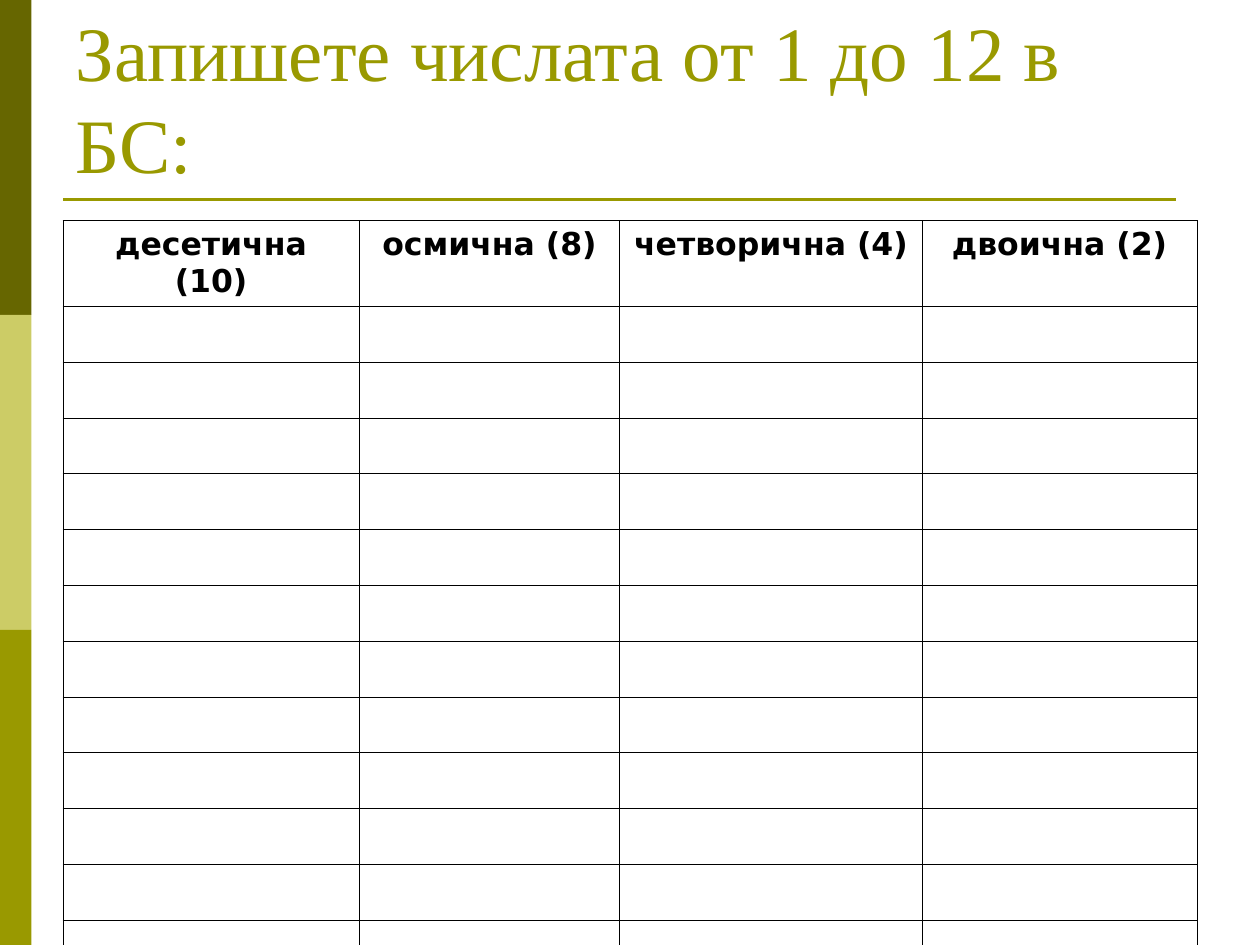
import pptx
import pptx.dml.color
import pptx.enum.shapes
import pptx.enum.text
import pptx.oxml
import pptx.oxml.ns
import pptx.util
from dataclasses import dataclass

Pt = pptx.util.Pt
Align = pptx.enum.text.PP_ALIGN


@dataclass(frozen=True)
class Theme:
    dark: str = "666600"
    pale: str = "CCCC66"
    olive: str = "999900"
    ink: str = "000000"
    serif: str = "Times New Roman"
    sans: str = "DejaVu Sans"
    title: int = 44
    head: int = 18
    rule: float = 1.5
    grid: float = 0.45


THEME = Theme()
WIDTH, HEIGHT = 720, 540
LEFT = 36
HEADS = ["десетична (10)", "осмична (8)", "четворична (4)", "двоична (2)"]
COLS = [169.2, 149, 172.8, 157]
ROWS, ROW = 13, 31.9


def rgb(tint):
    return pptx.dml.color.RGBColor.from_string(tint)


def style(para, face, size, tint, align, bold=False):
    para.alignment = align
    for run in para.runs:
        font = run.font
        font.name, font.size, font.bold = face, Pt(size), bold
        font.color.rgb = rgb(tint)


def add_bars(slide):
    tall = HEIGHT / 3
    for i, tint in enumerate([THEME.dark, THEME.pale, THEME.olive]):
        bar = slide.shapes.add_shape(
            pptx.enum.shapes.MSO_SHAPE.RECTANGLE,
            Pt(0), Pt(i * tall), Pt(18), Pt(tall))
        bar.shadow.inherit = False
        bar.fill.solid()
        bar.fill.fore_color.rgb = rgb(tint)
        bar.line.fill.background()


def add_rule(slide, right, top):
    rule = slide.shapes.add_connector(
        pptx.enum.shapes.MSO_CONNECTOR.STRAIGHT,
        Pt(LEFT), Pt(top), Pt(right), Pt(top))
    rule.line.color.rgb = rgb(THEME.olive)
    rule.line.width = Pt(THEME.rule)
    props = rule._element.spPr
    props.append(pptx.oxml.parse_xml(
        f'<a:effectLst {pptx.oxml.ns.nsdecls("a")}/>'))


def set_title(slide, text):
    title = slide.shapes.title
    title.left, title.top = Pt(LEFT), Pt(21.6)
    title.width, title.height = Pt(648), Pt(90)
    frame = title.text_frame
    frame.text = text
    frame.word_wrap = True
    frame.auto_size = pptx.enum.text.MSO_AUTO_SIZE.NONE
    frame.vertical_anchor = pptx.enum.text.MSO_ANCHOR.BOTTOM
    style(frame.paragraphs[0], THEME.serif, THEME.title, THEME.olive,
          Align.LEFT)


def set_edges(cell):
    props = cell._tc.get_or_add_tcPr()
    for side in "LRTB":
        props.append(pptx.oxml.parse_xml(
            f'<a:ln{side} {pptx.oxml.ns.nsdecls("a")} w="{Pt(THEME.grid)}">'
            f'<a:solidFill><a:srgbClr val="{THEME.ink}"/></a:solidFill>'
            f'</a:ln{side}>'))


def add_grid(slide, top):
    table = slide.shapes.add_table(
        ROWS, len(COLS), Pt(LEFT), Pt(top),
        Pt(sum(COLS)), Pt(ROWS * ROW)).table
    table.first_row = table.horz_banding = False
    for col, width in zip(table.columns, COLS):
        col.width = Pt(width)
    for row in table.rows:
        row.height = Pt(ROW)
    for cell in table.iter_cells():
        set_edges(cell)
        cell.fill.background()
    for i, head in enumerate(HEADS):
        frame = table.cell(0, i).text_frame
        frame.text = head
        style(frame.paragraphs[0], THEME.sans, THEME.head, THEME.ink,
              Align.CENTER, True)


def main():
    deck = pptx.Presentation()
    deck.slide_width, deck.slide_height = Pt(WIDTH), Pt(HEIGHT)
    slide = deck.slides.add_slide(deck.slide_layouts[5])
    # Side bars and rule
    add_bars(slide)
    add_rule(slide, 672, 114)
    # Title and exercise table
    set_title(slide, "Запишете числата от 1 до 12 в БС:")
    add_grid(slide, 126)
    deck.save("out.pptx")


if __name__ == "__main__":
    main()
